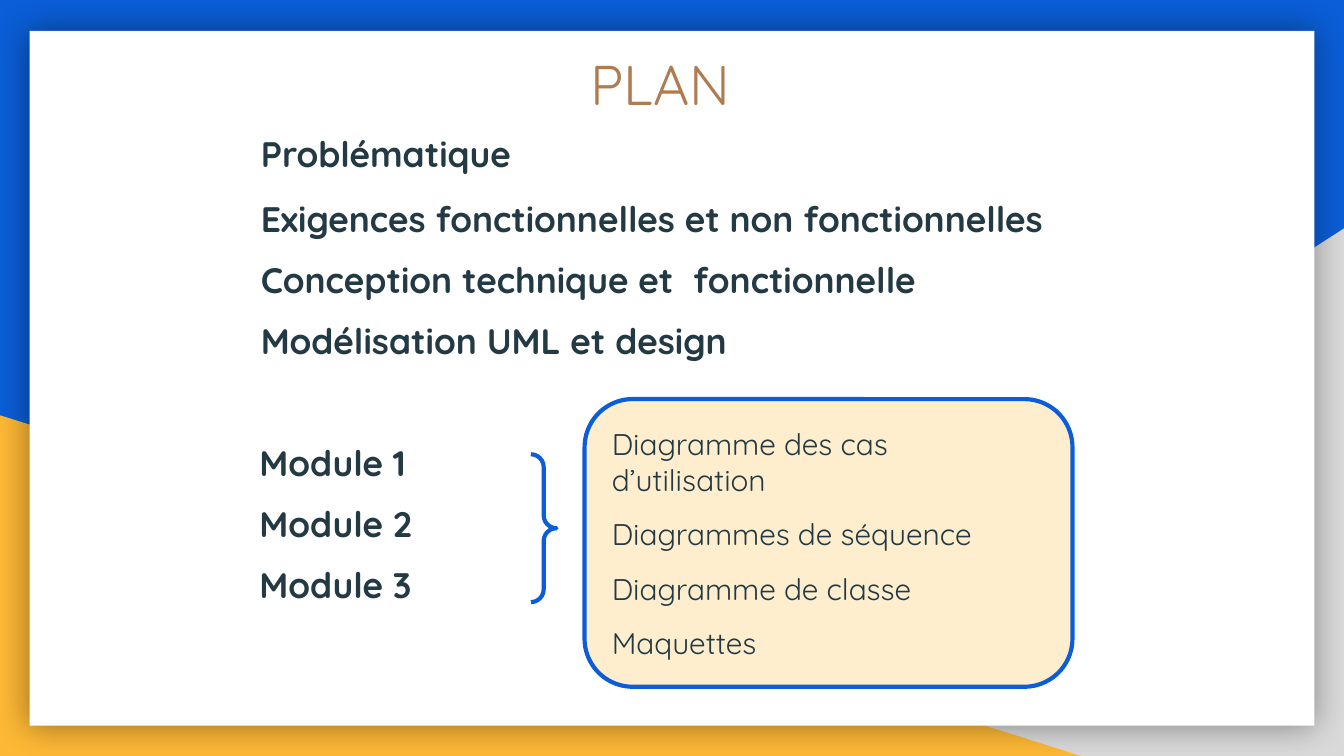
"""Build the plan slide: a framed agenda with modules and their diagrams."""
import lxml.etree
import pptx
import pptx.dml.color
import pptx.enum.shapes
import pptx.enum.text
import pptx.oxml.ns
import pptx.util

Inches = pptx.util.Inches
Pt = pptx.util.Pt
qn = pptx.oxml.ns.qn
SHAPES = pptx.enum.shapes.MSO_SHAPE
ALIGN = pptx.enum.text.PP_ALIGN
FONT = "Quicksand"
BLUE, YELLOW, GREY, WHITE = "0B5ED7", "FDB835", "D9D9D9", "FFFFFF"
BROWN, DARK = "AF7B51", "233A44"


def set_color(color_format, value):
    """Give a hex colour to a colour format."""
    color_format.rgb = pptx.dml.color.RGBColor.from_string(value)


def set_fill(fill, value):
    """Make a fill solid in a hex colour."""
    fill.solid()
    set_color(fill.fore_color, value)


def set_alpha(color_element, percent):
    """Set the opacity of a colour element."""
    lxml.etree.SubElement(color_element, qn("a:alpha"), val=str(percent * 1000))


def add_shape(slide, kind, box, fill=None, line=None, adjustments=()):
    """Add a preset shape without a theme shadow."""
    shape = slide.shapes.add_shape(kind, *map(Inches, box))
    shape.shadow.inherit = False
    if fill:
        set_fill(shape.fill, fill)
    else:
        shape.fill.background()
    if line:
        set_color(shape.line.color, line)
        shape.line.width = Pt(2.25)
    else:
        shape.line.fill.background()
    for index, value in enumerate(adjustments):
        shape.adjustments[index] = value
    return shape


def add_backdrop(slide):
    """Put the coloured corners and the white panel behind the text."""
    set_fill(slide.background.fill, BLUE)
    grey_corner = add_shape(slide, SHAPES.RIGHT_TRIANGLE, (3.92, 1.7, 6.08, 3.93), GREY)
    grey_corner.element.spPr.find(qn("a:xfrm")).set("flipH", "1")
    yellow_corner = add_shape(slide, SHAPES.RIGHT_TRIANGLE, (0, 3.09, 8.06, 2.54), YELLOW)
    panel = add_shape(slide, SHAPES.RECTANGLE, (0.22, 0.23, 9.56, 5.17), WHITE)
    effects = panel.element.spPr.find(qn("a:effectLst"))
    shadow = lxml.etree.SubElement(
        effects, qn("a:outerShdw"), blurRad=str(Pt(18)), dist="0", dir="0",
        algn="ctr", rotWithShape="0")
    set_alpha(lxml.etree.SubElement(shadow, qn("a:srgbClr"), val="000000"), 40)
    for shape in (grey_corner, yellow_corner, panel):
        slide.shapes.title.element.addprevious(shape.element)


def write_text(shape, lines, size, color=DARK, bold=False, align=ALIGN.LEFT, before=10):
    """Write unbulleted paragraphs in one style."""
    frame = shape.text_frame
    frame.word_wrap = True
    frame.margin_left = frame.margin_right = Inches(0.1)
    frame.margin_top = frame.margin_bottom = Inches(0.1)
    frame.text = "\n".join(lines)
    for paragraph in frame.paragraphs:
        properties = paragraph._p.get_or_add_pPr()
        properties.set("marL", "0")
        properties.set("indent", "0")
        lxml.etree.SubElement(properties, qn("a:buNone"))
        paragraph.alignment = align
        paragraph.space_before = Pt(before)
        paragraph.font.name = FONT
        paragraph.font.size = Pt(size)
        paragraph.font.bold = bold
        set_color(paragraph.font.color, color)


def fill_placeholder(placeholder, box, lines, size, **style):
    """Move a placeholder and write its text."""
    placeholder.left, placeholder.top, placeholder.width, placeholder.height = map(Inches, box)
    write_text(placeholder, lines, size, **style)
    placeholder.text_frame.auto_size = pptx.enum.text.MSO_AUTO_SIZE.SHAPE_TO_FIT_TEXT


def add_diagram_box(slide):
    """Add the rounded list of diagrams and the brace that leads to it."""
    box = add_shape(slide, SHAPES.ROUNDED_RECTANGLE, (4.35, 2.97, 3.63, 2.14),
                    YELLOW, BLUE, [0.167])
    set_alpha(box.element.spPr.find(qn("a:solidFill"))[0], 24)
    write_text(box, ["Diagramme des cas d’utilisation", "Diagrammes de séquence",
                     "Diagramme de classe", "Maquettes"], 16)
    box.text_frame.vertical_anchor = pptx.enum.text.MSO_ANCHOR.MIDDLE
    brace = add_shape(slide, SHAPES.LEFT_BRACE, (3.95, 3.38, 0.19, 1.1),
                      line=BLUE, adjustments=[0.5, 0.5])
    brace.rotation = 180


def main():
    """Build and save the presentation."""
    presentation = pptx.Presentation()
    presentation.slide_width = Inches(10)
    presentation.slide_height = presentation.slide_width * 9 // 16
    slide = presentation.slides.add_slide(presentation.slide_layouts.get_by_name("Two Content"))
    title, topics, modules = slide.placeholders
    add_backdrop(slide)
    fill_placeholder(title, (0.81, 0.26, 8.21, 0.71), ["PLAN"], 30,
                     color=BROWN, align=ALIGN.CENTER, before=0)
    fill_placeholder(topics, (1.84, 0.88, 6.1, 1.93), [
        "Problématique",
        "Exigences fonctionnelles et non fonctionnelles",
        "Conception technique et  fonctionnelle",
        "Modélisation UML et design"], 19, bold=True)
    topics.text_frame.paragraphs[1].space_before = Pt(12)
    fill_placeholder(modules, (1.83, 3.18, 1.95, 1.44),
                     [f"Module {number}" for number in range(1, 4)], 19, bold=True)
    modules.text_frame.paragraphs[-1].space_after = Pt(10)
    add_diagram_box(slide)
    presentation.save("out.pptx")


if __name__ == "__main__":
    main()
